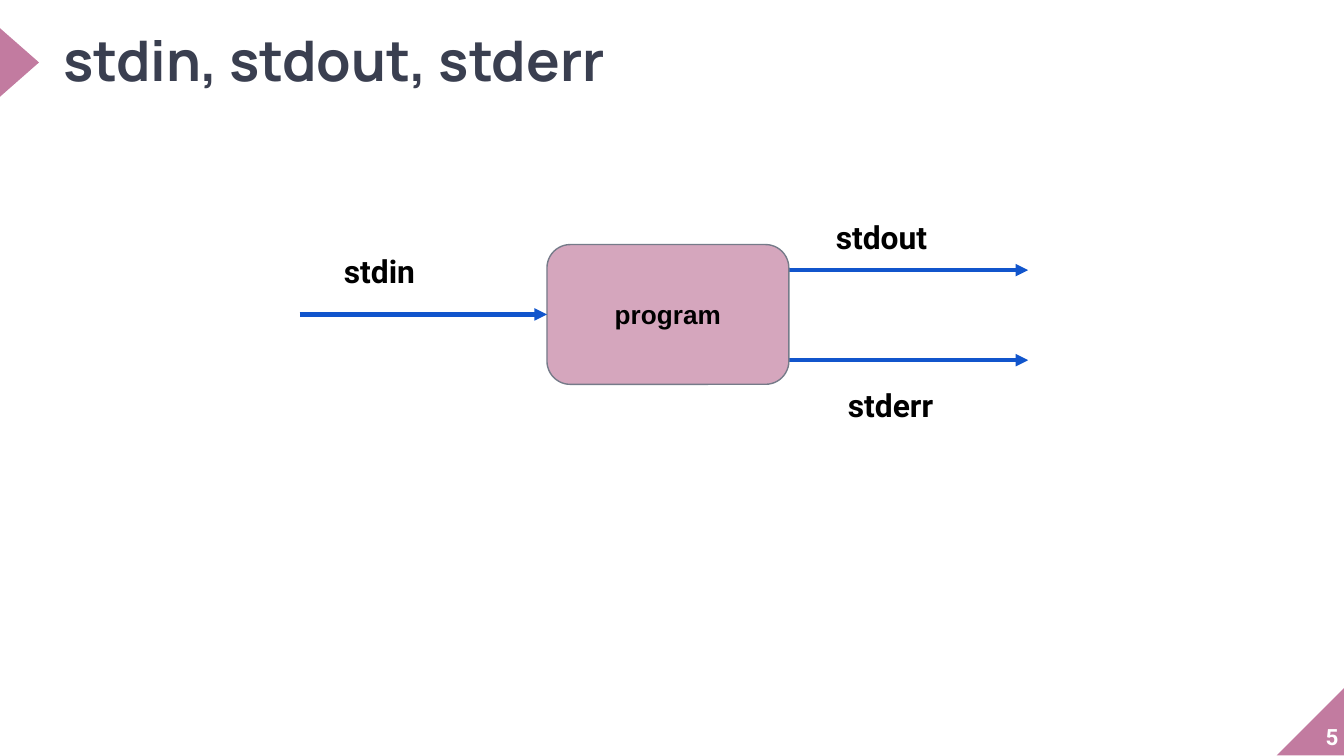
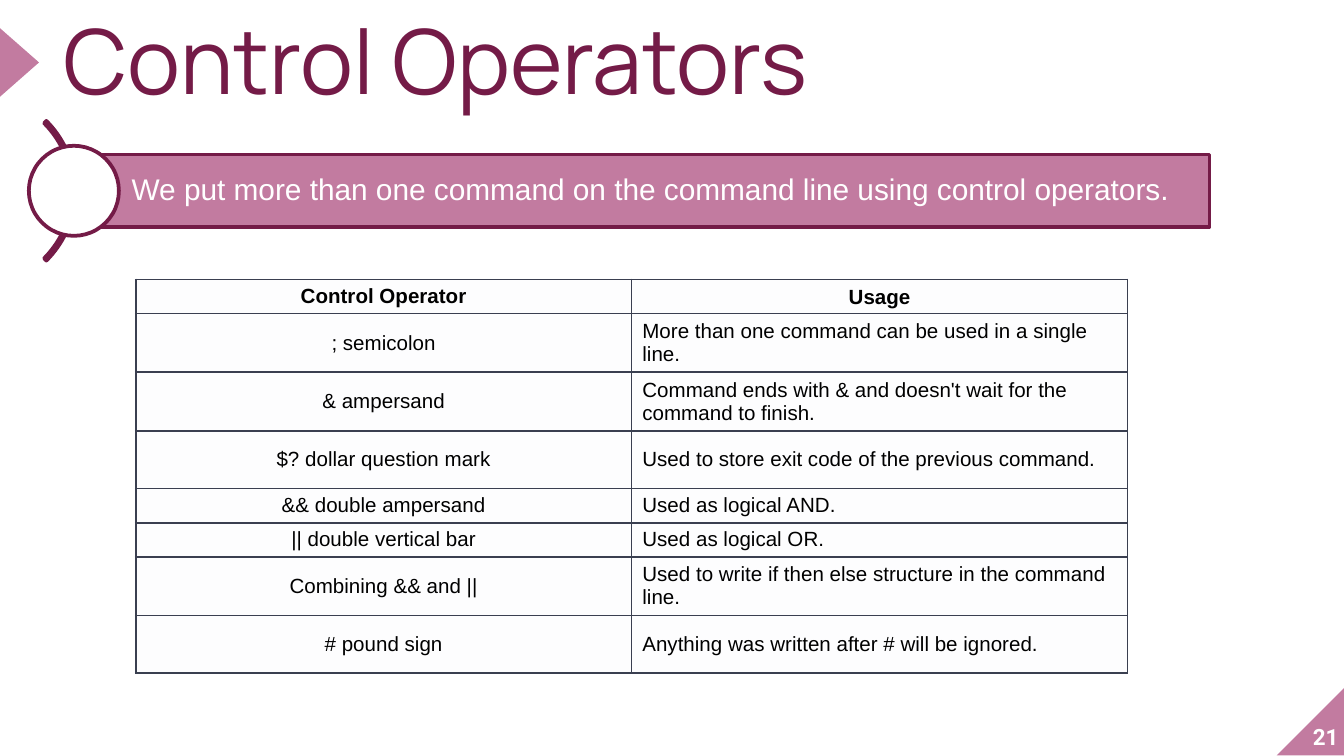
from lxml.etree import SubElement
from pptx import Presentation
from pptx.dml.color import RGBColor
from pptx.enum.shapes import MSO_CONNECTOR, MSO_SHAPE
from pptx.enum.text import MSO_ANCHOR, MSO_AUTO_SIZE, PP_ALIGN
from pptx.oxml.ns import qn
from pptx.util import Inches, Pt

ROSE = RGBColor(0xC2, 0x7B, 0xA0)
PINK = RGBColor(0xD5, 0xA6, 0xBD)
PLUM = RGBColor(0x74, 0x1B, 0x47)
SLATE = RGBColor(0x3A, 0x3F, 0x50)
GRAY = RGBColor(0x75, 0x7B, 0x89)
BLUE = RGBColor(0x11, 0x55, 0xCC)
PAPER = RGBColor(0xFD, 0xFD, 0xFE)
WHITE = RGBColor(0xFF, 0xFF, 0xFF)
BLACK = RGBColor(0, 0, 0)

OPERATORS = [
    ("; semicolon", "More than one command can be used in a single line.", 0.43),
    ("& ampersand", "Command ends with & and doesn't wait for the command to finish.", 0.43),
    ("$? dollar question mark", "Used to store exit code of the previous command.", 0.43),
    ("&& double ampersand", "Used as logical AND.", 0.25),
    ("|| double vertical bar", "Used as logical OR.", 0.25),
    ("Combining && and ||", "Used to write if then else structure in the command line.", 0.43),
    ("# pound sign", "Anything was written after # will be ignored.", 0.43),
]


def inches(*values):
    """Convert several numbers to lengths."""
    return [Inches(v) for v in values]


def write(tf, text, size, font, color, bold=False, align=PP_ALIGN.LEFT, spacing=None):
    """Write one formatted run into the first paragraph."""
    p = tf.paragraphs[0]
    p.alignment = align
    p.line_spacing = spacing
    r = p.add_run()
    r.text = text
    r.font.size = Pt(size)
    r.font.name = font
    r.font.bold = bold
    r.font.color.rgb = color


def set_frame(tf, insets, anchor=MSO_ANCHOR.TOP):
    """Set wrapping, insets and anchor of a text frame."""
    tf.word_wrap = True
    tf.vertical_anchor = anchor
    tf.margin_left, tf.margin_top, tf.margin_right, tf.margin_bottom = inches(*insets)


def add_text(s, box, insets, anchor, *style, **options):
    """Add a text box with one run."""
    tf = s.shapes.add_textbox(*inches(*box)).text_frame
    set_frame(tf, insets, anchor)
    write(tf, *style, **options)
    return tf


def add_shape(s, kind, box, fill=None, line=None, width=1):
    """Add a preset shape without shadow."""
    sp = s.shapes.add_shape(kind, *inches(*box))
    sp.shadow.inherit = False
    if fill is None:
        sp.fill.background()
    else:
        sp.fill.solid()
        sp.fill.fore_color.rgb = fill
    if line is None:
        sp.line.fill.background()
    else:
        sp.line.color.rgb = line
        sp.line.width = Pt(width)
    return sp


def add_arrow(s, x1, x2, y):
    """Add a horizontal arrow pointing right."""
    c = s.shapes.add_connector(MSO_CONNECTOR.STRAIGHT, *inches(x1, y, x2, y))
    c.line.color.rgb = BLUE
    c.line.width = Pt(2.25)
    SubElement(c.line._get_or_add_ln(), qn("a:tailEnd"), type="triangle")
    SubElement(c._element.spPr, qn("a:effectLst"))
    return c


def add_slide(prs, number, title, width, size, color, bold=False, spacing=None):
    """Add a slide with its corner, marker, page number and title."""
    s = prs.slides.add_slide(prs.slide_layouts[5])
    corner = add_shape(s, MSO_SHAPE.RIGHT_TRIANGLE, (9.5, 5.11, 0.51, 0.51), ROSE)
    corner._element.spPr.find(qn("a:xfrm")).set("flipH", "1")
    marker = add_shape(s, MSO_SHAPE.ISOSCELES_TRIANGLE, (-0.11, 0.32, 0.51, 0.29), ROSE)
    marker.rotation = 90
    add_text(s, (9.46, 5.07, 0.5, 0.51), (0, 0, 0, 0), MSO_ANCHOR.BOTTOM,
             number, 12, "Roboto", WHITE, bold=True, align=PP_ALIGN.RIGHT)
    sp = s.shapes.title
    sp.left, sp.top, sp.width, sp.height = inches(0.47, 0.19, width, 0.69)
    tf = sp.text_frame
    set_frame(tf, (0, 0, 0, 0))
    tf.auto_size = MSO_AUTO_SIZE.NONE
    write(tf, title, size, "Manrope", color, bold, spacing=spacing)
    return s


def add_streams(s, x, y, w, h):
    """Draw the program box with its input and two outputs."""
    right, middle = x + w, y + h / 2
    for out_y in (y + 0.19, y + 0.86):
        add_arrow(s, right - 0.05, right + 1.78, out_y)
    program = add_shape(s, MSO_SHAPE.ROUNDED_RECTANGLE, (x, y, w, h), PINK, GRAY, 0.75)
    set_frame(program.text_frame, [0.1] * 4, MSO_ANCHOR.MIDDLE)
    write(program.text_frame, "program", 14, "Arial", BLACK, True, PP_ALIGN.CENTER)
    add_arrow(s, x - 1.84, x, middle).end_connect(program, 1)
    labels = [("stdin", x - 1.61, y - 0.05), ("stdout", right + 0.25, y - 0.3),
              ("stderr", right + 0.34, y + 0.95)]
    for text, left, top in labels:
        tf = add_text(s, (left, top, 1.08, 0.49), [0.1] * 4, MSO_ANCHOR.TOP,
                      text, 17, "Roboto", BLACK, bold=True)
        tf.auto_size = MSO_AUTO_SIZE.SHAPE_TO_FIT_TEXT


def add_banner(s, x, y, w, h, text):
    """Draw a sentence bar with a circle and an arc at its left end."""
    middle = y + h / 2
    arc, dot = 1.47, 0.67
    sp = add_shape(s, MSO_SHAPE.BLOCK_ARC, (x - arc + 0.01, middle - arc / 2, arc, arc),
                   line=PLUM, width=2)
    for i, value in enumerate((189, 27, 0.016)):
        sp.adjustments[i] = value
    bar = add_shape(s, MSO_SHAPE.RECTANGLE, (x, y, w, h), ROSE, PLUM, 2)
    set_frame(bar.text_frame, (0.43, 0.04, 0.04, 0.04), MSO_ANCHOR.MIDDLE)
    write(bar.text_frame, text, 16, "Arial", WHITE, spacing=0.9)
    add_shape(s, MSO_SHAPE.OVAL, (x - dot / 2, middle - dot / 2, dot, dot), WHITE, PLUM, 2)


def set_borders(cell):
    """Outline a table cell on its four sides."""
    pr = cell._tc.get_or_add_tcPr()
    for i, side in enumerate(("a:lnL", "a:lnR", "a:lnT", "a:lnB")):
        ln = SubElement(pr, qn(side), w=str(Pt(1)))
        SubElement(SubElement(ln, qn("a:solidFill")), qn("a:srgbClr"), val=str(SLATE))
        pr.insert(i, ln)


def add_operator_table(s, x, y, w):
    """Add the table of control operators and their usage."""
    rows = [("Control Operator", "Usage", 0.25)] + OPERATORS
    height = sum(row[2] for row in rows)
    table = s.shapes.add_table(len(rows), 2, *inches(x, y, w, height)).table
    table.horz_banding = False
    for column in table.columns:
        column.width = Inches(w / 2)
    for i, (*texts, row_height) in enumerate(rows):
        table.rows[i].height = Inches(row_height)
        for j, text in enumerate(texts):
            header = i == 0
            cell = table.cell(i, j)
            cell.fill.solid()
            cell.fill.fore_color.rgb = PAPER
            set_borders(cell)
            cell.margin_left = cell.margin_right = Inches(0.08)
            cell.margin_top = cell.margin_bottom = Pt(2.5)
            cell.vertical_anchor = MSO_ANCHOR.BOTTOM if header and j else MSO_ANCHOR.MIDDLE
            align = PP_ALIGN.CENTER if header or j == 0 else PP_ALIGN.LEFT
            write(cell.text_frame, text, 11, "Arial", BLACK, header, align)


def main():
    """Build both slides and save them."""
    prs = Presentation()
    prs.slide_width = Inches(10)
    prs.slide_height = prs.slide_width * 9 // 16
    s = add_slide(prs, "5", "stdin, stdout, stderr", 7.38, 30, SLATE, bold=True)
    add_streams(s, 4.07, 1.82, 1.8, 1.04)
    s = add_slide(prs, "21", "Control Operators", 6.17, 48, PLUM, spacing=0.8)
    add_banner(s, 0.55, 1.15, 8.45, 0.54,
               "We put more than one command on the command line using control operators.")
    add_operator_table(s, 1.01, 2.08, 7.38)
    prs.save("out.pptx")


if __name__ == "__main__":
    main()
